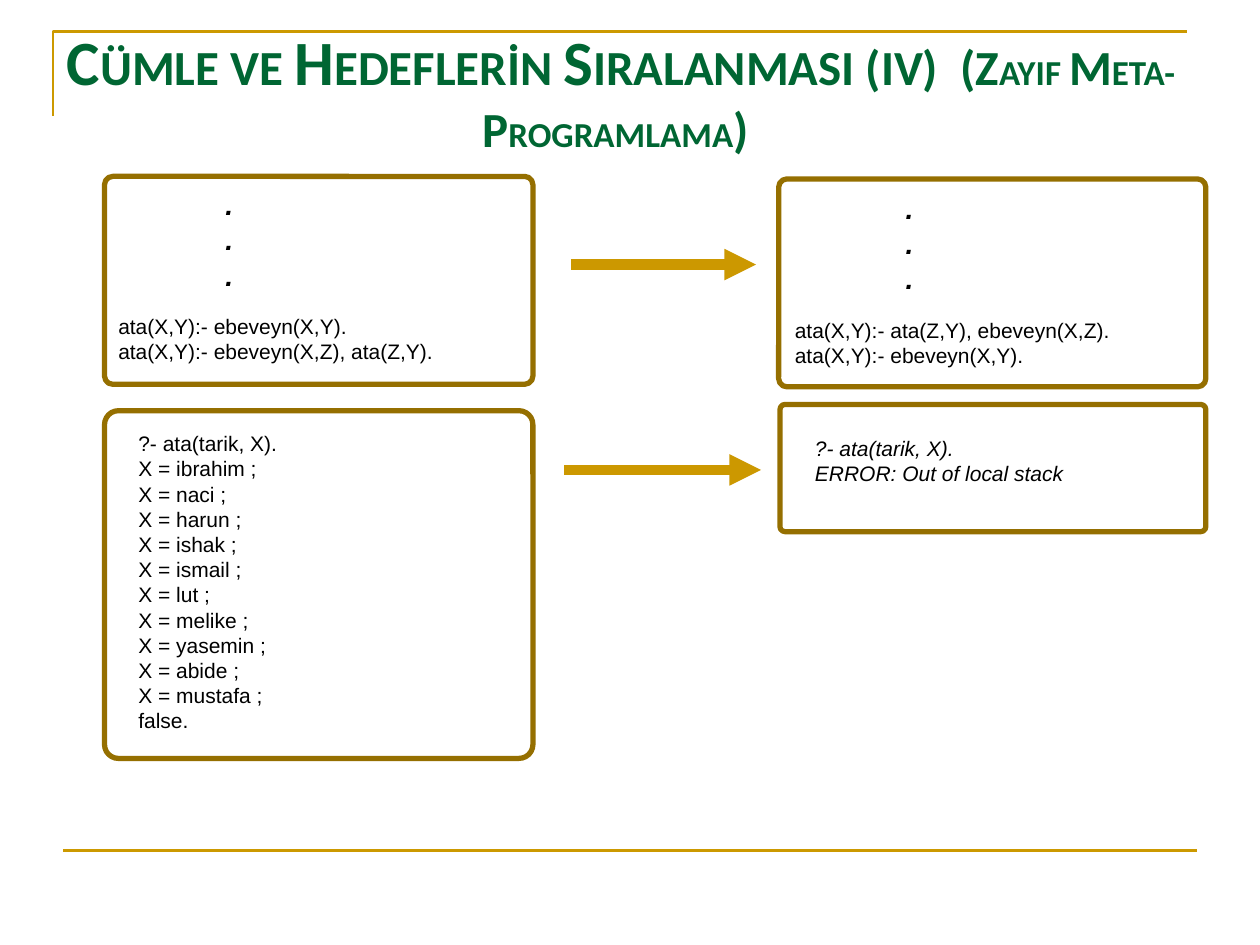
from pptx import Presentation
from pptx.dml.color import RGBColor
from pptx.enum.shapes import MSO_CONNECTOR as LINK, MSO_SHAPE as SHAPE
from pptx.enum.text import MSO_ANCHOR as ANCHOR, MSO_AUTO_SIZE as FIT, PP_ALIGN as ALIGN
from pptx.oxml.ns import qn
from pptx.util import Inches, Pt
from lxml import etree

GREEN = RGBColor(0x00, 0x66, 0x33)
GOLD = RGBColor(0xCC, 0x99, 0x00)
AMBER = RGBColor(0xCC, 0x98, 0x00)
BROWN = RGBColor(0x95, 0x6F, 0x00)
BLACK = RGBColor(0, 0, 0)

deck = Presentation()
deck.slide_width, deck.slide_height = Inches(10), Inches(7.5)
slide = deck.slides.add_slide(deck.slide_layouts[5])
shapes = slide.shapes


def add_line(x1, x2, y, color, width):
    line = shapes.add_connector(LINK.STRAIGHT, Inches(x1), Inches(y), Inches(x2), Inches(y))
    line.line.color.rgb = color
    line.line.width = Pt(width)
    etree.SubElement(line._element.spPr, qn("a:effectLst"))
    return line


def add_text(x, y, w, h, lines, size=12, bold=False, italic=False, indent=0, gap=0):
    frame = shapes.add_textbox(Inches(x), Inches(y), Inches(w), Inches(h)).text_frame
    frame.word_wrap = True
    for i, text in enumerate(lines):
        para = frame.paragraphs[0] if i == 0 else frame.add_paragraph()
        para.text = text
        if indent:
            para._p.get_or_add_pPr().set("marL", str(Inches(indent)))
        if i and gap:
            para.space_before = Pt(gap)
        font = para.font
        font.name, font.size = "Arial", Pt(size)
        font.bold, font.italic = bold, italic
        font.color.rgb = BLACK


# Corner rule and bottom rule
pen = shapes.build_freeform(Inches(0.42), Inches(0.92))
pen.add_line_segments([(Inches(0.42), Inches(0.25)), (Inches(9.42), Inches(0.25))], close=False)
corner = pen.convert_to_shape()
corner.shadow.inherit = False
corner.fill.background()
corner.line.color.rgb = GOLD
corner.line.width = Pt(1.5)
add_line(0.5, 9.5, 6.75, GOLD, 1.5)

# Title in small capitals
title = shapes.title
title.left, title.top = Inches(0.04), Inches(0.13)
title.width, title.height = Inches(9.69), Inches(0.68)
frame = title.text_frame
frame.word_wrap = True
frame.auto_size = FIT.NONE
frame.vertical_anchor = ANCHOR.TOP
para = frame.paragraphs[0]
para.alignment = ALIGN.CENTER
para.font.name, para.font.bold = "Calibri", True
para.font.color.rgb = GREEN
for text, size in [
    (" ", 28), ("C", 36), ("ÜMLE VE ", 28), ("H", 36), ("EDEFLERİN ", 28),
    ("S", 36), ("IRALANMASI (IV)  (Z", 28), ("AYIF ", 20), ("M", 28),
    ("ETA-", 20), ("P", 28), ("ROGRAMLAMA", 20), (")", 28),
]:
    run = para.add_run()
    run.text = text
    run.font.size = Pt(size)

# Rounded frames
for x, y, w, h in [
    (0.83, 1.4, 3.4, 1.65), (0.83, 3.26, 3.4, 2.76),
    (6.18, 1.42, 3.39, 1.65), (6.19, 3.21, 3.38, 1.01),
]:
    box = shapes.add_shape(SHAPE.ROUNDED_RECTANGLE, Inches(x), Inches(y), Inches(w), Inches(h))
    box.adjustments[0] = 0.04
    box.shadow.inherit = False
    box.fill.background()
    box.line.color.rgb = BROWN
    box.line.width = Pt(3)

# Arrows from left to right
for x1, x2, y in [(4.53, 6, 2.1), (4.48, 6.04, 3.73)]:
    arrow = add_line(x1, x2, y, AMBER, 6)
    etree.SubElement(arrow.line._get_or_add_ln(), qn("a:tailEnd"), type="triangle")

# Dots above the clauses
for x, y, w, h in [(1.01, 1.44, 3.14, 1.17), (6.41, 1.47, 0.94, 0.9)]:
    add_text(x, y, w, h, ["."] * 3, 16, True, True, indent=0.68, gap=1)

# Clauses in both orders
add_text(0.84, 2.44, 3.45, 0.5,
         ["ata(X,Y):- ebeveyn(X,Y).", "ata(X,Y):- ebeveyn(X,Z), ata(Z,Y)."])
add_text(6.21, 2.47, 3.45, 0.5,
         ["ata(X,Y):- ata(Z,Y), ebeveyn(X,Z).", "ata(X,Y):- ebeveyn(X,Y)."])

# Query results
query = "?- ata(tarik, X)."
names = ["ibrahim", "naci", "harun", "ishak", "ismail", "lut",
         "melike", "yasemin", "abide", "mustafa"]
add_text(1, 3.37, 1.94, 2.5, [query, *[f"X = {name} ;" for name in names], "false."])
add_text(6.37, 3.41, 2.5, 0.5, [query, "ERROR: Out of local stack"], italic=True)

deck.save("out.pptx")
